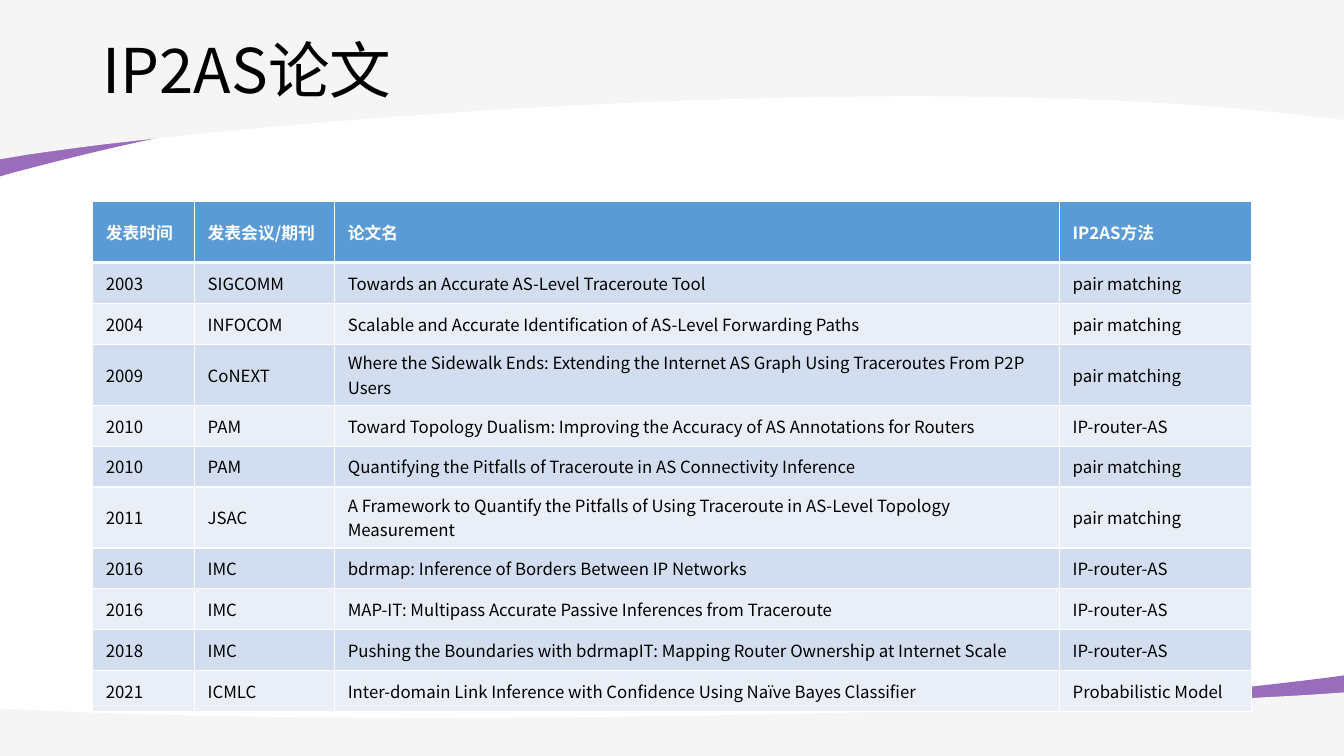
from dataclasses import dataclass
from typing import Any, Optional

from lxml import etree
from pptx import Presentation, util as u
from pptx.dml.color import RGBColor
from pptx.enum import text
from pptx.oxml import ns

FONT = "Noto Sans CJK SC"
BLACK = RGBColor(0x00, 0x00, 0x00)
WHITE = RGBColor(0xFF, 0xFF, 0xFF)
GREY = RGBColor(0xF5, 0xF5, 0xF5)
PURPLE = RGBColor(0x70, 0x30, 0xA0)
HEADER_BLUE = RGBColor(0x5B, 0x9B, 0xD5)
BANDS = (RGBColor(0xD2, 0xDE, 0xEF), RGBColor(0xEA, 0xEF, 0xF7))


@dataclass
class Wave:
    """Outline in inches: pairs are corners, six values are a Bezier curve."""
    outline: list[tuple[float, ...]]
    color: RGBColor
    opacity: Optional[int] = None


@dataclass
class Paper:
    year: str
    venue: str
    title: str
    method: str
    lines: int = 1


WAVES = [
    Wave([(13.33, 6.7), (13.33, 7.35), (0, 7.35), (0, 7.08), (0.01, 7.08),
          (3.01, 7.41, 8.2, 7.17, 11.19, 6.93),
          (11.79, 6.88, 12.47, 6.81, 13.19, 6.72)], PURPLE, 70),
    Wave([(13.33, 6.87), (13.33, 7.12), (13.33, 7.15), (13.33, 7.5), (0, 7.5),
          (0, 7.15), (0, 7.12), (0, 7.03), (0.44, 7.05),
          (3.92, 7.21, 9.1, 7.08, 12.19, 6.94),
          (12.46, 6.92, 12.74, 6.91, 13.04, 6.89)], GREY),
    Wave([(0, 1.75), (0, 0.34), (13.33, 0.34), (13.33, 0.92), (13.32, 0.92),
          (10.32, 0.22, 5.14, 0.72, 2.14, 1.26),
          (1.54, 1.36, 0.86, 1.52, 0.14, 1.71)], PURPLE, 70),
    Wave([(0, 1.58), (0, 0.94), (0, 0.89), (0, 0), (13.33, 0), (13.33, 0.89),
          (13.33, 0.94), (13.33, 1.19), (12.89, 1.14),
          (9.42, 0.74, 4.23, 1.06, 1.14, 1.42),
          (0.87, 1.45, 0.59, 1.49, 0.3, 1.53)], GREY),
]

HEADER = Paper("发表时间", "发表会议/期刊", "论文名", "IP2AS方法", 2)
PAIR, ROUTER = "pair matching", "IP-router-AS"
PAPERS = [
    Paper("2003", "SIGCOMM", "Towards an Accurate AS-Level Traceroute Tool", PAIR),
    Paper("2004", "INFOCOM",
          "Scalable and Accurate Identification of AS-Level Forwarding Paths", PAIR),
    Paper("2009", "CoNEXT", "Where the Sidewalk Ends: Extending the Internet AS Graph "
          "Using Traceroutes From P2P Users", PAIR, 2),
    Paper("2010", "PAM", "Toward Topology Dualism: Improving the Accuracy of "
          "AS Annotations for Routers", ROUTER),
    Paper("2010", "PAM",
          "Quantifying the Pitfalls of Traceroute in AS Connectivity Inference", PAIR),
    Paper("2011", "JSAC", "A Framework to Quantify the Pitfalls of Using Traceroute in "
          "AS-Level Topology Measurement", PAIR, 2),
    Paper("2016", "IMC", "bdrmap: Inference of Borders Between IP Networks", ROUTER),
    Paper("2016", "IMC",
          "MAP-IT: Multipass Accurate Passive Inferences from Traceroute", ROUTER),
    Paper("2018", "IMC", "Pushing the Boundaries with bdrmapIT: Mapping Router "
          "Ownership at Internet Scale", ROUTER),
    Paper("2021", "ICMLC", "Inter-domain Link Inference with Confidence Using "
          "Naïve Bayes Classifier", "Probabilistic Model"),
]
COLUMN_WIDTHS = (1.01, 1.39, 7.19, 1.9)
EXTRA_LINE = 0.2
CELL_FORMAT = {
    "vertical_anchor": text.MSO_ANCHOR.MIDDLE,
    "margin_left": u.Inches(0.13), "margin_right": u.Inches(0.13),
    "margin_top": u.Inches(0.06), "margin_bottom": u.Inches(0.06),
}


def set_attributes(target: Any, values: dict[str, Any]) -> None:
    for name, value in values.items():
        setattr(target, name, value)


def add_run(p: Any, words: str, size: int, color: RGBColor, bold: bool = False) -> None:
    r = p.add_run()
    r.text = words
    set_attributes(r.font, {"size": u.Pt(size), "name": FONT, "bold": bold})
    r.font.color.rgb = color
    east_asian = etree.SubElement(r.font._element, ns.qn("a:ea"))
    east_asian.set("typeface", FONT)


def bend_curves(sp: Any, outline: list[tuple[float, ...]]) -> None:
    """Turn the straight steps that have control points into Bezier curves."""
    lines = list(sp._element.iter(ns.qn("a:lnTo")))
    for step, line in zip(outline[1:], lines):
        if len(step) == 2:
            continue
        curve = etree.Element(ns.qn("a:cubicBezTo"))
        for x, y in zip(step[::2], step[1::2]):
            etree.SubElement(curve, ns.qn("a:pt"), x=str(u.Inches(x) - sp.left),
                             y=str(u.Inches(y) - sp.top))
        line.getparent().replace(line, curve)


def add_wave(s: Any, wave: Wave) -> None:
    corners = [(u.Inches(step[-2]), u.Inches(step[-1])) for step in wave.outline]
    builder = s.shapes.build_freeform(*corners[0])
    builder.add_line_segments(corners[1:], close=True)
    sp = builder.convert_to_shape()
    bend_curves(sp, wave.outline)
    sp.shadow.inherit = False
    sp.line.fill.background()
    sp.fill.solid()
    sp.fill.fore_color.rgb = wave.color
    if wave.opacity is not None:
        color = sp._element.spPr.find(".//" + ns.qn("a:srgbClr"))
        etree.SubElement(color, ns.qn("a:alpha")).set("val", str(wave.opacity * 1000))


def add_title(s: Any, words: str) -> None:
    sp = s.shapes.add_textbox(u.Inches(0.92), 0, u.Inches(11.5), u.Inches(1.45))
    tf = sp.text_frame
    set_attributes(tf, {"word_wrap": True, "vertical_anchor": text.MSO_ANCHOR.MIDDLE})
    p = tf.paragraphs[0]
    p.line_spacing = 0.9
    add_run(p, words, 44, BLACK)


def set_borders(cell: Any, widths: dict[str, int]) -> None:
    tc_pr = cell._tc.get_or_add_tcPr()
    for i, (side, width) in enumerate(widths.items()):
        ln = etree.Element(ns.qn(f"a:ln{side}"), w=str(u.Pt(width)))
        fill = etree.SubElement(ln, ns.qn("a:solidFill"))
        etree.SubElement(fill, ns.qn("a:srgbClr")).set("val", str(WHITE))
        tc_pr.insert(i, ln)


def add_papers(s: Any, header: Paper, papers: list[Paper]) -> None:
    rows = [header, *papers]
    frame = s.shapes.add_table(len(rows), len(COLUMN_WIDTHS), u.Inches(0.92),
                               u.Inches(2), u.Inches(11.5), u.Inches(4.46))
    table = frame.table
    table.horz_banding = False
    for column, width in zip(table.columns, COLUMN_WIDTHS):
        column.width = u.Inches(width)
    for i, paper in enumerate(rows):
        is_header = i == 0
        table.rows[i].height += u.Inches(EXTRA_LINE * (paper.lines - 1))
        words = (paper.year, paper.venue, paper.title, paper.method)
        for j, value in enumerate(words):
            cell = table.cell(i, j)
            set_attributes(cell, CELL_FORMAT)
            cell.fill.solid()
            cell.fill.fore_color.rgb = HEADER_BLUE if is_header else BANDS[(i - 1) % 2]
            set_borders(cell, {"L": 1, "R": 1, "T": 3 if i == 1 else 1,
                               "B": 3 if is_header else 1})
            add_run(cell.text_frame.paragraphs[0], value, 12,
                    WHITE if is_header else BLACK, is_header)


def main() -> None:
    prs = Presentation()
    set_attributes(prs, {"slide_width": u.Inches(13.33), "slide_height": u.Inches(7.5)})
    s = prs.slides.add_slide(prs.slide_layouts[6])
    # Background waves
    for wave in WAVES:
        add_wave(s, wave)
    # Title and table of papers
    add_title(s, "IP2AS论文")
    add_papers(s, HEADER, PAPERS)
    prs.save("out.pptx")


if __name__ == "__main__":
    main()
